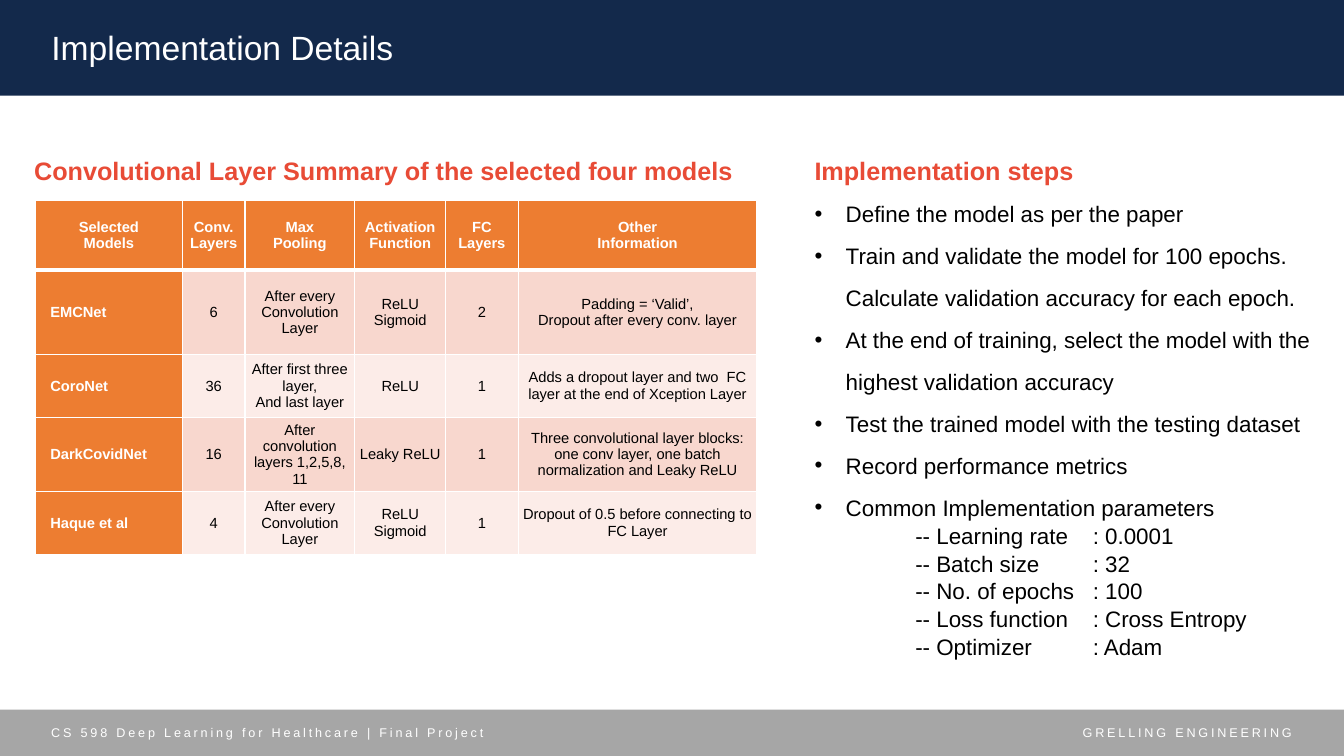
from dataclasses import dataclass

from lxml import etree
from pptx import Presentation
from pptx import util as u
from pptx.dml.color import RGBColor
from pptx.enum import shapes, text
from pptx.oxml import ns

NAVY = RGBColor(0x13, 0x29, 0x4B)
GRAY = RGBColor(0xA6, 0xA6, 0xA6)
WHITE = RGBColor(0xFF, 0xFF, 0xFF)
BLACK = RGBColor(0, 0, 0)
RED = RGBColor(0xE8, 0x4B, 0x36)
ORANGE = RGBColor(0xED, 0x7D, 0x31)
BLUSH = RGBColor(0xF8, 0xD7, 0xCE)
PALE = RGBColor(0xFC, 0xEC, 0xE8)

LEFT, CENTER, RIGHT = text.PP_ALIGN.LEFT, text.PP_ALIGN.CENTER, text.PP_ALIGN.RIGHT
HEADING = {"size": u.Pt(18), "bold": True}
BODY = {"size": u.Pt(16), "bold": False}
FOOTER = {"size": u.Pt(9)}
CELL = {"size": u.Pt(10.5)}


@dataclass
class Place:
    left: float
    top: float
    width: float
    height: float

    def lengths(self) -> list:
        return [u.Inches(n) for n in (self.left, self.top, self.width, self.height)]


@dataclass
class Label:
    words: str
    place: Place
    values: dict
    color: RGBColor
    align: text.PP_ALIGN = LEFT
    tracking: int = 0


BANDS = [
    (Place(0, 7.04, 13.33, 0.46), GRAY),
    (Place(0, 0, 13.33, 0.95), NAVY),
]
LABELS = [
    Label("CS 598 Deep Learning for Healthcare | Final Project",
          Place(0.41, 7.14, 7.03, 0.25), FOOTER, WHITE, LEFT, 200),
    Label("GRELLING ENGINEERING", Place(10.21, 7.14, 2.7, 0.25), FOOTER, WHITE, RIGHT, 200),
    Label("Convolutional Layer Summary of the selected four models",
          Place(0.24, 1.49, 7.62, 0.4), HEADING, RED),
]
COLUMNS = [1.46, 0.62, 1.09, 0.9, 0.72, 2.37]
ROWS = [0.69, 0.84, 0.62, 0.74, 0.62]
MODELS = [
    ["Selected\nModels", "Conv.\nLayers", "Max\nPooling", "Activation\nFunction",
     "FC\nLayers", "Other\nInformation"],
    ["EMCNet", "6", "After every Convolution Layer", "ReLU\nSigmoid", "2",
     "Padding = ‘Valid’,\nDropout after every conv. layer"],
    ["CoroNet", "36", "After first three layer,\nAnd last layer", "ReLU", "1",
     "Adds a dropout layer and two  FC layer at the end of Xception Layer"],
    ["DarkCovidNet", "16", "After convolution layers 1,2,5,8, 11", "Leaky ReLU", "1",
     "Three convolutional layer blocks: one conv layer, one batch normalization and Leaky ReLU"],
    ["Haque et al", "4", "After every Convolution Layer", "ReLU\nSigmoid", "1",
     "Dropout of 0.5 before connecting to FC Layer"],
]
STEPS = [
    "Define the model as per the paper",
    "Train and validate the model for 100 epochs. Calculate validation accuracy for each epoch.",
    "At the end of training, select the model with the highest validation accuracy",
    "Test the trained model with the testing dataset",
    "Record performance metrics",
    "Common Implementation parameters",
]
PARAMETERS = {
    "Learning rate": "0.0001",
    "Batch size": "32",
    "No. of epochs": "100",
    "Loss function": "Cross Entropy",
    "Optimizer": "Adam",
}


def assign(target, values: dict) -> None:
    for name, value in values.items():
        setattr(target, name, value)


def add_span(para, words: str, values: dict, color: RGBColor):
    span = para.add_run()
    span.text = words
    assign(span.font, {"name": "Arial", **values})
    span.font.color.rgb = color
    return span


def add_band(page, place: Place, color: RGBColor) -> None:
    band = page.shapes.add_shape(shapes.MSO_SHAPE.RECTANGLE, *place.lengths())
    band.shadow.inherit = False
    band.fill.solid()
    band.fill.fore_color.rgb = color
    band.line.fill.background()


def add_label(page, label: Label):
    box = page.shapes.add_textbox(*label.place.lengths())
    box.text_frame.word_wrap = True
    para = box.text_frame.paragraphs[0]
    para.alignment = label.align
    span = add_span(para, label.words, label.values, label.color)
    if label.tracking:
        span.font._element.set("spc", str(label.tracking))
    return box


def place_title(page) -> None:
    title = page.shapes.title
    title.element.getparent().append(title.element)
    assign(title, dict(zip(("left", "top", "width", "height"),
                           Place(0.41, 0.22, 11.93, 0.5).lengths())))
    title.text_frame.vertical_anchor = text.MSO_ANCHOR.MIDDLE
    para = title.text_frame.paragraphs[0]
    para.alignment = LEFT
    add_span(para, "Implementation Details", {"size": u.Pt(24)}, WHITE)


def add_borders(cell, bottom: float) -> None:
    properties = cell._tc.get_or_add_tcPr()
    widths = {"a:lnL": 1, "a:lnR": 1, "a:lnT": 1, "a:lnB": bottom}
    for position, (side, points) in enumerate(widths.items()):
        line = etree.Element(ns.qn(side), w=str(u.Pt(points)))
        fill = etree.SubElement(line, ns.qn("a:solidFill"))
        etree.SubElement(fill, ns.qn("a:srgbClr"), val=str(WHITE))
        properties.insert(position, line)


def add_models(page) -> None:
    place = Place(0.35, 1.99, sum(COLUMNS), sum(ROWS))
    table = page.shapes.add_table(len(ROWS), len(COLUMNS), *place.lengths()).table
    for column, width in zip(table.columns, COLUMNS):
        column.width = u.Inches(width)
    for row, height in zip(table.rows, ROWS):
        row.height = u.Inches(height)
    for i, entries in enumerate(MODELS):
        for j, words in enumerate(entries):
            cell = table.cell(i, j)
            strong = i == 0 or j == 0
            name = i > 0 and j == 0
            assign(cell, {
                "margin_left": u.Inches(0.15 if name else 0.03),
                "margin_right": u.Inches(0.03),
                "margin_top": 0,
                "margin_bottom": 0,
                "vertical_anchor": text.MSO_ANCHOR.MIDDLE,
            })
            cell.fill.solid()
            cell.fill.fore_color.rgb = ORANGE if strong else BLUSH if i % 2 else PALE
            add_borders(cell, 3 if i == 0 else 1)
            for k, line in enumerate(words.split("\n")):
                para = cell.text_frame.add_paragraph() if k else cell.text_frame.paragraphs[0]
                para.alignment = LEFT if name else CENTER
                add_span(para, line, {**CELL, "bold": strong}, WHITE if strong else BLACK)


def add_bullet(para) -> None:
    properties = para._p.get_or_add_pPr()
    properties.set("marL", str(u.Inches(0.31)))
    properties.set("indent", str(u.Inches(-0.31)))
    color = etree.SubElement(properties, ns.qn("a:buClr"))
    etree.SubElement(color, ns.qn("a:srgbClr"), val=str(BLACK))
    etree.SubElement(properties, ns.qn("a:buFont"), typeface="Arial")
    etree.SubElement(properties, ns.qn("a:buChar"), char="•")


def add_tab_stops(para, *stops: float) -> None:
    tabs = etree.SubElement(para._p.get_or_add_pPr(), ns.qn("a:tabLst"))
    for stop in stops:
        etree.SubElement(tabs, ns.qn("a:tab"), pos=str(u.Inches(stop)), algn="l")


def add_steps(page) -> None:
    heading = Label("Implementation steps", Place(7.98, 1.49, 5.12, 5.02), HEADING, RED)
    frame = add_label(page, heading).text_frame
    for step in STEPS:
        para = frame.add_paragraph()
        para.line_spacing = 1.56
        add_bullet(para)
        add_span(para, step, BODY, BLACK)
    for name, value in PARAMETERS.items():
        para = frame.add_paragraph()
        para.line_spacing = 1.04
        add_tab_stops(para, 1, 2.76)
        add_span(para, f"\t-- {name}\t: {value}", BODY, BLACK)


def main() -> None:
    deck = Presentation()
    assign(deck, {"slide_width": u.Inches(13.33), "slide_height": u.Inches(7.5)})
    page = deck.slides.add_slide(deck.slide_layouts[5])
    for place, color in BANDS:
        add_band(page, place, color)
    place_title(page)
    for label in LABELS:
        add_label(page, label)
    add_models(page)
    add_steps(page)
    deck.save("out.pptx")


if __name__ == "__main__":
    main()
